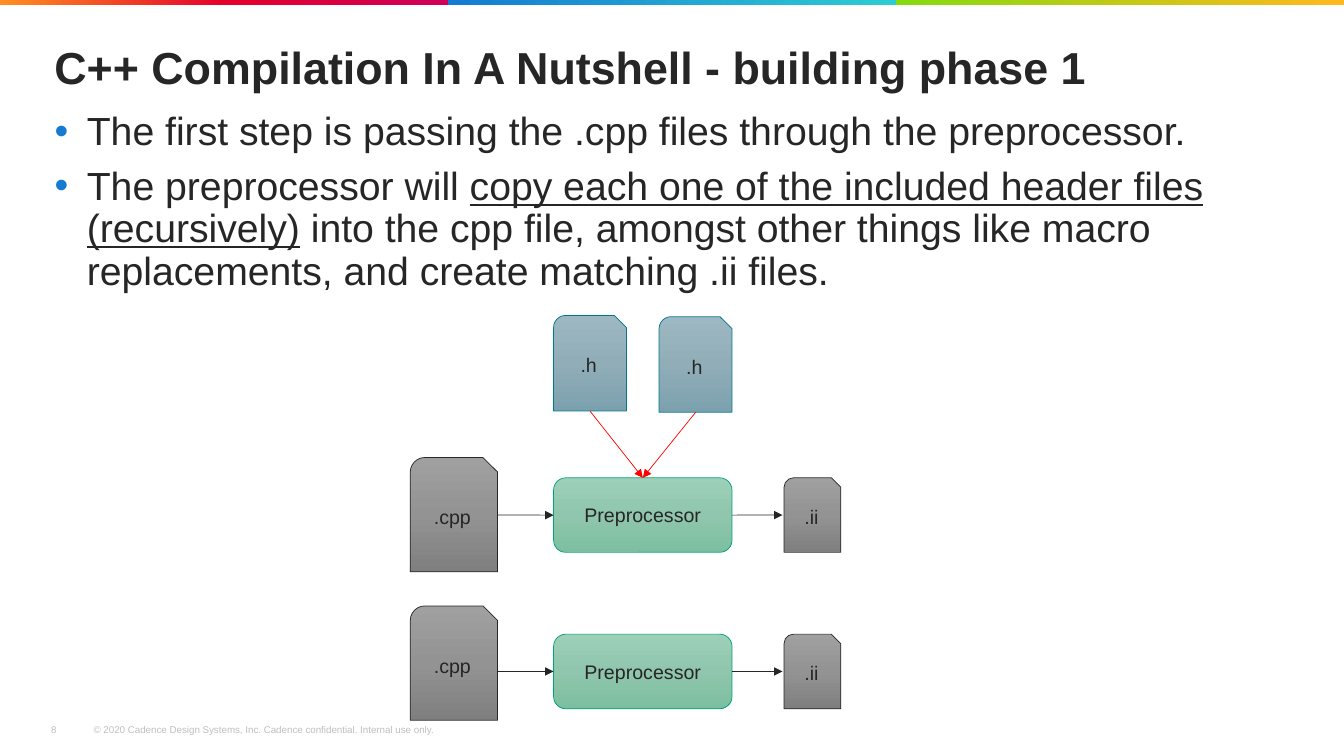
"""Builds the slide on the preprocessing phase of C++ compilation."""
from lxml import etree
from pptx import Presentation
from pptx import util as u
from pptx.dml.color import RGBColor
from pptx.enum import shapes, text
from pptx.oxml.ns import qn

THEME = {
    "font": "Arial",
    "ink": "262626",
    "muted": "BFBFBF",
    "bullet": "147BD1",
    "include": "FF0000",
    "title_size": 32,
    "body_size": 28,
    "label_size": 14,
    "footer_size": 7,
    "bands": [
        {0: "FF9021", 50: "E4002B", 100: "CE0058"},
        {0: "147BD1", 100: "2DCCD3"},
        {0: "84DB0F", 100: "FFB81C"},
    ],
    "file": ({0: "A0A0A0", 50: "939393", 100: "7F7F7F"}, "262626"),
    "header": ({0: "9DB8C3", 50: "90ADB8", 100: "7CA1AE"}, "00778B"),
    "tool": ({0: "9DD0B8", 50: "90C6AD", 100: "7CBFA0"}, "00A376"),
}
SNIP = shapes.MSO_SHAPE.SNIP_ROUND_RECTANGLE
ROUND = shapes.MSO_SHAPE.ROUNDED_RECTANGLE


def add_gradient_shape(kind, box, stops, angle):
    """Add a preset shape, measured in centimetres, with a linear gradient."""
    shape = slide.shapes.add_shape(kind, *map(u.Cm, box))
    shape.shadow.inherit = False
    shape.fill.gradient()
    shape.fill.gradient_angle = angle
    stop_list = shape._element.spPr.find(".//" + qn("a:gsLst"))
    stop_list.clear()
    for position, color in stops.items():
        stop = etree.SubElement(stop_list, qn("a:gs"), pos=str(position * 1000))
        etree.SubElement(stop, qn("a:srgbClr"), val=color)
    return shape


def format_font(font, size, color, bold=False):
    """Apply the theme typeface with a size and a colour."""
    for name, value in {"name": THEME["font"], "size": u.Pt(size), "bold": bold}.items():
        setattr(font, name, value)
    font.color.rgb = RGBColor.from_string(color)


deck = Presentation()
deck.slide_width, deck.slide_height = u.Cm(33.87), u.Cm(19.05)
slide = deck.slides.add_slide(deck.slide_layouts[6])

band_width = 11.29
for index, stops in enumerate(THEME["bands"]):
    band = add_gradient_shape(
        shapes.MSO_SHAPE.RECTANGLE, (index * band_width, 0, band_width, 0.13), stops, 0)
    band.line.fill.background()

footers = [
    (2.11, 16.94, "© 2020 Cadence Design Systems, Inc. Cadence confidential. Internal use only."),
    (1.04, 1.27, "8"),
]
for left, width, wording in footers:
    footer = slide.shapes.add_textbox(u.Cm(left), u.Cm(18.11), u.Cm(width), u.Cm(0.56))
    footer.text_frame.word_wrap = True
    footer.text_frame.text = wording
    format_font(footer.text_frame.paragraphs[0].runs[0].font,
                THEME["footer_size"], THEME["muted"])

title = slide.shapes.add_textbox(u.Cm(1.24), u.Cm(1.02), u.Cm(31.42), u.Cm(3.68)).text_frame
title.word_wrap = True
title.margin_left = u.Cm(0.13)
title.text = "C++ Compilation In A Nutshell - building phase 1"
title.paragraphs[0].line_spacing = 0.9
format_font(title.paragraphs[0].runs[0].font, THEME["title_size"], THEME["ink"], True)

body = slide.shapes.add_textbox(u.Cm(1.22), u.Cm(2.69), u.Cm(31.42), u.Cm(12.73)).text_frame
body.word_wrap = True
body.margin_left = 0
points = [
    [("The first step is passing the .cpp files through the preprocessor.", False)],
    [("The preprocessor will ", False),
     ("copy each one of the included header files (recursively)", True),
     (" into the cpp file, amongst other things like macro replacements, "
      "and create matching .ii files.", False)],
]
for index, pieces in enumerate(points):
    point = body.add_paragraph() if index else body.paragraphs[0]
    for name, value in {"line_spacing": 0.9, "space_before": u.Pt(6 * index),
                        "space_after": u.Pt(3)}.items():
        setattr(point, name, value)
    properties = point._p.get_or_add_pPr()
    properties.set("marL", str(u.Cm(0.97)))
    properties.set("indent", str(u.Cm(-0.81)))
    bullet_color = etree.SubElement(properties, qn("a:buClr"))
    etree.SubElement(bullet_color, qn("a:srgbClr"), val=THEME["bullet"])
    etree.SubElement(properties, qn("a:buFont"), typeface=THEME["font"])
    etree.SubElement(properties, qn("a:buChar"), char="•")
    for wording, underlined in pieces:
        piece = point.add_run()
        piece.text = wording
        format_font(piece.font, THEME["body_size"], THEME["ink"])
        piece.font.underline = underlined

cpp_left, cpp_width = 10.34, 2.2
tool_left, tool_width, tool_height = 13.95, 4.5, 1.88
header_width, header_height = 1.84, 2.41
headers = [(tool_left, 7.95), (tool_left + tool_width - header_width, 7.98)]
rows = [(11.53, 12.04), (15.27, 15.98)]

nodes = [(".h", "header", SNIP, (left, top, header_width, header_height))
         for left, top in headers]
for cpp_top, tool_top in rows:
    nodes += [
        (".cpp", "file", SNIP, (cpp_left, cpp_top, cpp_width, 2.88)),
        ("Preprocessor", "tool", ROUND, (tool_left, tool_top, tool_width, tool_height)),
        (".ii", "file", SNIP, (19.76, tool_top, 1.43, tool_height)),
    ]

preprocessors = []
for label, role, kind, box in nodes:
    stops, outline = THEME[role]
    node = add_gradient_shape(kind, box, stops, 270)
    node.line.color.rgb = RGBColor.from_string(outline)
    node.line.width = u.Pt(0.5)
    node.text_frame.text = label
    node.text_frame.vertical_anchor = text.MSO_ANCHOR.MIDDLE
    caption = node.text_frame.paragraphs[0]
    caption.alignment = text.PP_ALIGN.CENTER
    format_font(caption.runs[0].font, THEME["label_size"], THEME["ink"])
    if role == "tool":
        preprocessors.append(node)

flows = [(preprocessors[0], 0, True, left + header_width / 2, top + header_height, "include")
         for left, top in headers]
for preprocessor, (cpp_top, tool_top) in zip(preprocessors, rows):
    middle = tool_top + tool_height / 2
    flows += [(preprocessor, 1, True, cpp_left + cpp_width, middle, "ink"),
              (preprocessor, 3, False, 19.72, middle, "ink")]

for preprocessor, side, incoming, x, y, color in flows:
    flow = slide.shapes.add_connector(
        shapes.MSO_CONNECTOR.STRAIGHT, *map(u.Cm, (x, y, x, y)))
    join = flow.end_connect if incoming else flow.begin_connect
    join(preprocessor, side)
    flow.line.color.rgb = RGBColor.from_string(THEME[color])
    flow.line.width = u.Pt(0.5)
    etree.SubElement(flow.line._get_or_add_ln(), qn("a:tailEnd"), type="triangle")
    etree.SubElement(flow._element.spPr, qn("a:effectLst"))

deck.save("out.pptx")
